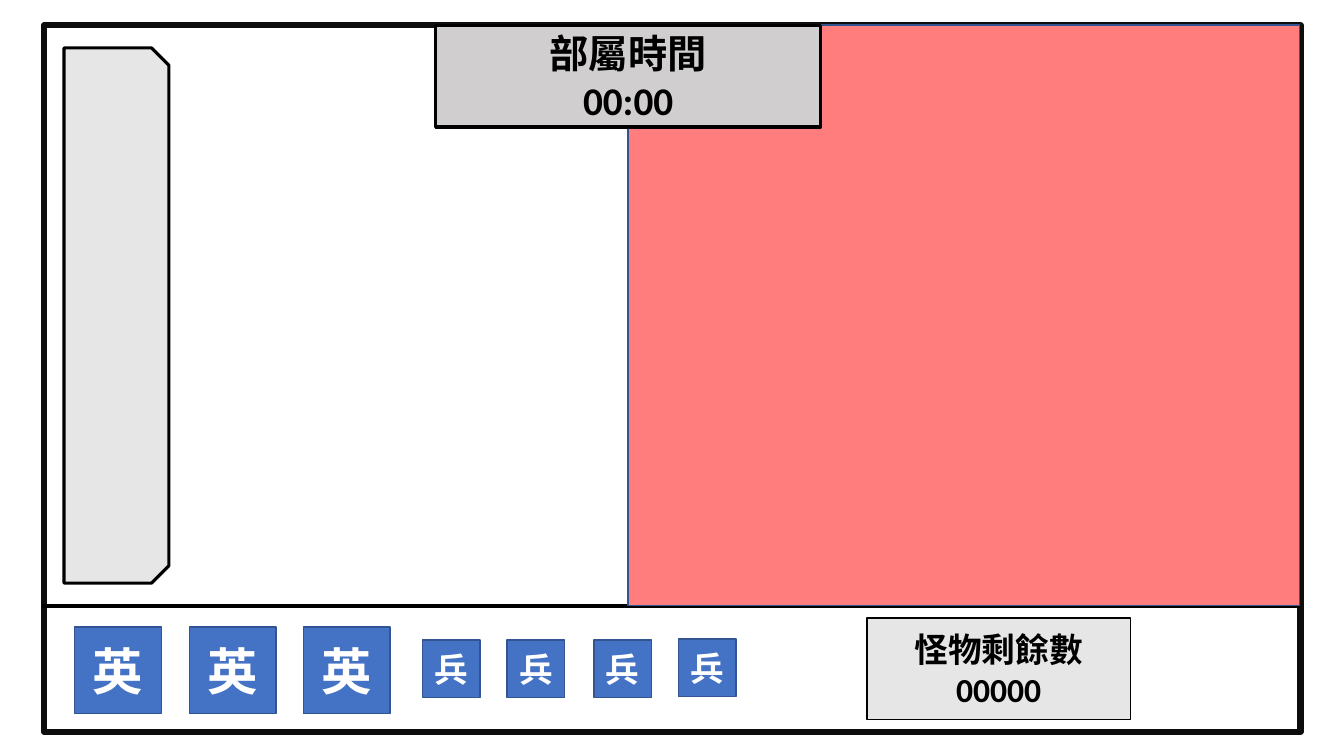
"""Build the game screen layout slide with its deployment timer and unit bar."""
from pptx import Presentation
from pptx import util as u
from pptx.dml.color import RGBColor
from pptx.enum import shapes, text
from pptx.oxml.ns import qn
from lxml import etree

HUES = {"black": "000000", "frame": "0D0D0D", "white": "FFFFFF",
        "pale": "E7E6E6", "grey": "D0CECE", "red": "FF7D7D",
        "blue": "4472C4", "edge": "325491"}
FONT = "Calibri"
TIMER = ["部屬時間", "00:00"]
COUNT = ["怪物剩餘數00000"]
HERO = {"word": "英", "size": 36, "side": 0.86,
        "spots": [(0.74, 6.22), (1.88, 6.22), (3.01, 6.22)]}
TROOP = {"word": "兵", "size": 24, "side": 0.57,
         "spots": [(4.19, 6.35), (5.03, 6.35), (5.89, 6.35), (6.73, 6.34)]}
LEFT, TOP, WIDTH, HEIGHT = 0.44, 0.25, 12.46, 7.01
FLOOR = 6.01
ZONE = 6.23
RIGHT = 12.89
KINDS = shapes.MSO_SHAPE


def hue(name):
    return RGBColor.from_string(HUES[name])


def add_box(slide, at, fill, edge, width, lines=(), size=24, ink="black",
            kind=KINDS.RECTANGLE):
    box = slide.shapes.add_shape(kind, *map(u.Inches, at))
    box.shadow.inherit = False
    if fill:
        box.fill.solid()
        box.fill.fore_color.rgb = hue(fill)
    else:
        box.fill.background()
    box.line.color.rgb = hue(edge)
    box.line.width = u.Pt(width)
    frame = box.text_frame
    frame.word_wrap = True
    frame.vertical_anchor = text.MSO_ANCHOR.MIDDLE
    for i, line in enumerate(lines):
        para = frame.add_paragraph() if i else frame.paragraphs[0]
        para.text = line
        para.alignment = text.PP_ALIGN.CENTER
        para.font.name = FONT
        para.font.size = u.Pt(size)
        para.font.bold = True
        para.font.color.rgb = hue(ink)
    return box


def add_rule(slide):
    rule = slide.shapes.add_connector(
        shapes.MSO_CONNECTOR.STRAIGHT,
        *map(u.Inches, (RIGHT, FLOOR, 0.42, FLOOR)))
    rule.line.color.rgb = hue("black")
    rule.line.width = u.Pt(3)
    etree.SubElement(rule._element.spPr, qn("a:effectLst"))


def main():
    deck = Presentation()
    deck.slide_width, deck.slide_height = u.Inches(13.33), u.Inches(7.5)
    slide = deck.slides.add_slide(deck.slide_layouts[6])

    add_box(slide, (LEFT, TOP, WIDTH, HEIGHT), None, "frame", 4.5)
    add_rule(slide)
    panel = add_box(slide, (-1.5, 2.61, 5.31, 1.04), "pale", "black", 2.25,
                    kind=KINDS.SNIP_2_SAME_RECTANGLE)
    panel.rotation = 90
    add_box(slide, (8.6, 6.13, 2.61, 1.01), "pale", "black", 1, COUNT)
    add_box(slide, (ZONE, TOP, RIGHT - ZONE, FLOOR - TOP), "red", "edge", 1)
    add_box(slide, (4.32, TOP, 3.82, 1.01), "grey", "black", 2.25, TIMER, 28)
    for unit in (HERO, TROOP):
        side = unit["side"]
        for x, y in unit["spots"]:
            add_box(slide, (x, y, side, side), "blue", "edge", 1,
                    [unit["word"]], unit["size"], "white")
    deck.save("out.pptx")


if __name__ == "__main__":
    main()
